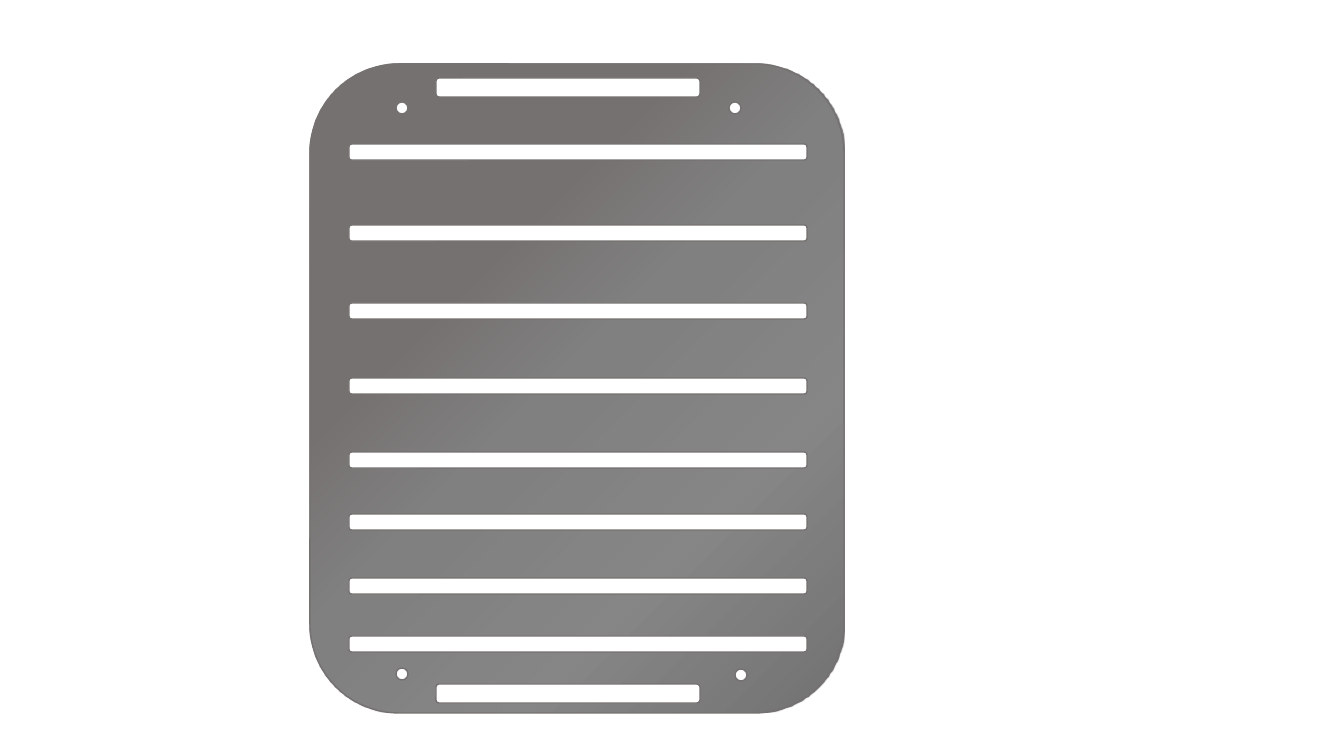
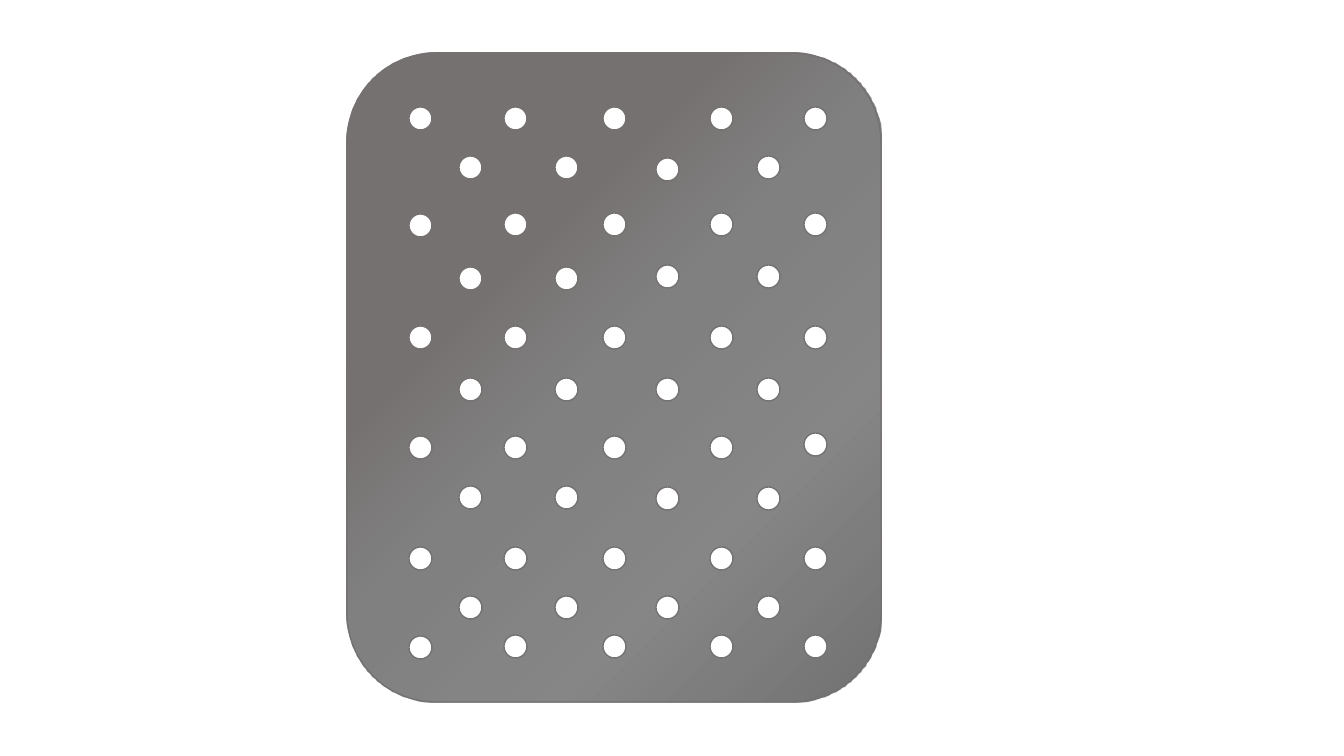
"""Build two slides of metal plates, one with slots and one with round holes."""
from lxml import etree
from pptx import Presentation
from pptx.dml.color import RGBColor
from pptx.enum.shapes import MSO_SHAPE
from pptx.oxml.ns import qn
from pptx.util import Emu, Pt

ROUNDED = MSO_SHAPE.ROUNDED_RECTANGLE
ELLIPSE = MSO_SHAPE.OVAL
PIXEL = 914400 / 100.8
SLIDE_SIZE = (1344, 756)
BLANK_LAYOUT = 6

COLORS = {"edge": "767171", "middle": "808080", "shade": "747474", "opening": "FFFFFF"}
GRADIENT_STOPS = [(32, "edge", 100), (47, "middle", 100), (72, "middle", 94), (97, "shade", 100)]
GRADIENT_ANGLE = 315
PLATE_SIZE = (534, 649)

SLOTTED_PLATE = (310, 64)
HANDLE_LEFT, HANDLE_SIZE = 436, (264, 19)
HANDLE_TOPS = [78, 684]
SLOT_LEFT, SLOT_SIZE = 349, (458, 16)
SLOT_TOPS = [144, 225, 303, 378, 452, 514, 578, 636]
SCREW_SIZE = (12, 12)
SCREWS = [(396, 102), (729, 102), (396, 668), (735, 669)]

PERFORATED_PLATE = (347, 53)
HOLE_SIZE = (23, 23)
HOLE_COLUMNS = [(409, 504, 603, 710, 804), (459, 555, 656, 757)]
HOLE_ROWS = [107, 156, 213, 267, 326, 378, 436, 486, 547, 596, 635]
HOLE_SHIFTS = {(1, 2): 2, (2, 0): 1, (3, 2): -2, (3, 3): -2, (6, 4): -3,
               (7, 2): 1, (7, 3): 1, (10, 0): 1}


def pixels(value):
    return Emu(round(value * PIXEL))


def add_outlined(slide, kind, position, size):
    shape = slide.shapes.add_shape(kind, *map(pixels, position + size))
    shape.shadow.inherit = False
    shape.line.color.rgb = RGBColor.from_string(COLORS["edge"])
    shape.line.width = Pt(1)
    return shape


def add_opening(slide, kind, position, size):
    shape = add_outlined(slide, kind, position, size)
    shape.fill.solid()
    shape.fill.fore_color.rgb = RGBColor.from_string(COLORS["opening"])


def add_plate(slide, position):
    shape = add_outlined(slide, ROUNDED, position, PLATE_SIZE)
    shape.fill.gradient()
    shape.fill.gradient_angle = GRADIENT_ANGLE
    stops = shape.element.spPr.find(".//" + qn("a:gsLst"))
    for stop in list(stops):
        stops.remove(stop)
    for place, color, opacity in GRADIENT_STOPS:
        stop = etree.SubElement(stops, qn("a:gs"), pos=str(place * 1000))
        value = etree.SubElement(stop, qn("a:srgbClr"), val=COLORS[color])
        if opacity < 100:
            etree.SubElement(value, qn("a:alpha"), val=str(opacity * 1000))


def build_slotted(slide):
    add_plate(slide, SLOTTED_PLATE)
    for top in HANDLE_TOPS:
        add_opening(slide, ROUNDED, (HANDLE_LEFT, top), HANDLE_SIZE)
    for top in SLOT_TOPS:
        add_opening(slide, ROUNDED, (SLOT_LEFT, top), SLOT_SIZE)
    for position in SCREWS:
        add_opening(slide, ELLIPSE, position, SCREW_SIZE)


def build_perforated(slide):
    add_plate(slide, PERFORATED_PLATE)
    for row, top in enumerate(HOLE_ROWS):
        for column, left in enumerate(HOLE_COLUMNS[row % 2]):
            shift = HOLE_SHIFTS.get((row, column), 0)
            add_opening(slide, ELLIPSE, (left, top + shift), HOLE_SIZE)


presentation = Presentation()
presentation.slide_width, presentation.slide_height = map(pixels, SLIDE_SIZE)
for build in (build_slotted, build_perforated):
    build(presentation.slides.add_slide(presentation.slide_layouts[BLANK_LAYOUT]))
presentation.save("out.pptx")
